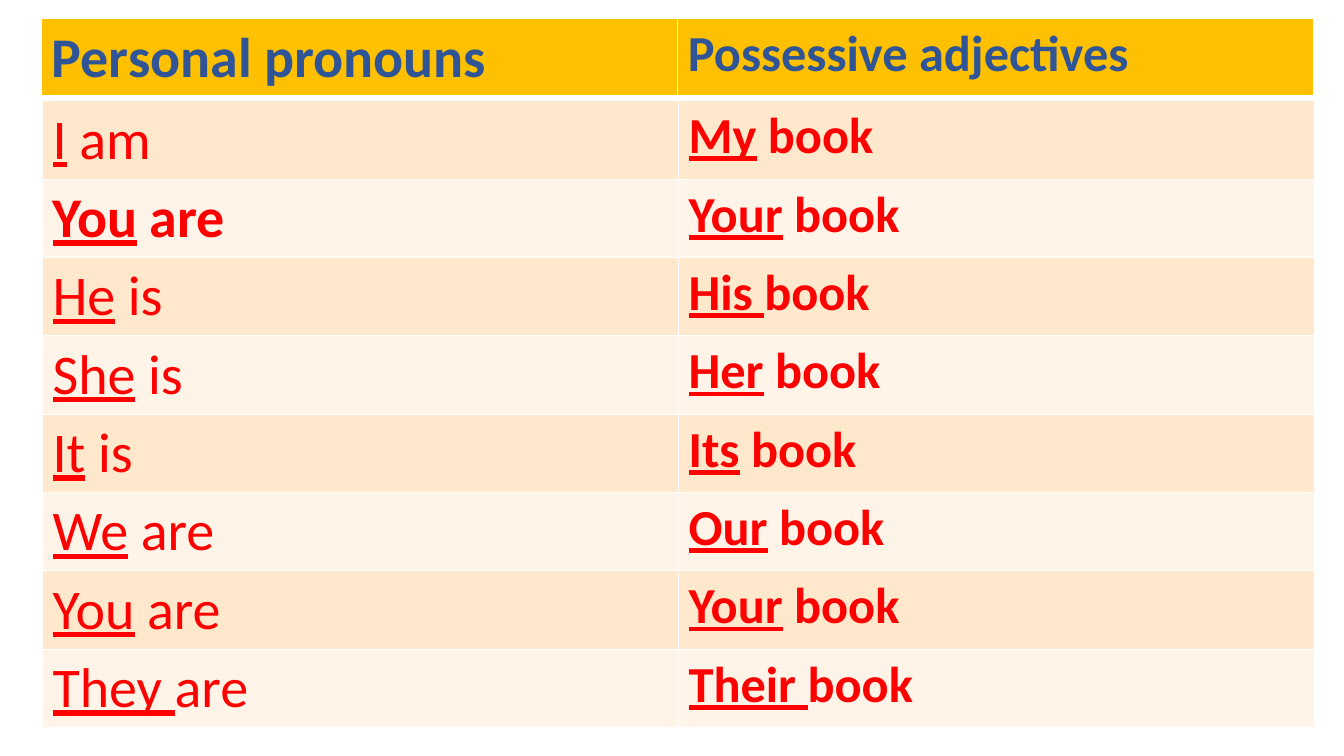
"""Build a slide that pairs personal pronouns with possessive adjectives."""
import pptx
import pptx.util
import pptx.dml.color
import pptx.oxml
import pptx.oxml.ns

Pt = pptx.util.Pt


def paint(item, color):
    item.fill.solid()
    item.fill.fore_color.rgb = pptx.dml.color.RGBColor.from_string(color)


def line(tag, width, color):
    return pptx.oxml.parse_xml(
        f'<a:{tag} {pptx.oxml.ns.nsdecls("a")} w="{int(Pt(width))}">'
        f'<a:solidFill><a:srgbClr val="{color}"/></a:solidFill></a:{tag}>')


prs = pptx.Presentation()
prs.slide_width, prs.slide_height = Pt(960), Pt(540)
slide = prs.slides.add_slide(prs.slide_layouts[6])

head = [(("Personal pronouns", ""), ("Possessive adjectives", ""))]
body = [
    (("I", " am"), ("My", " book")),
    (("You", " are"), ("Your", " book")),
    (("He", " is"), ("His ", "book")),
    (("She", " is"), ("Her", " book")),
    (("It", " is"), ("Its", " book")),
    (("We", " are"), ("Our", " book")),
    (("You", " are"), ("Your", " book")),
    (("They ", "are"), ("Their ", "book")),
]
tables = [
    (body, 30.4, 72, 55.2, ["FFE8CC", "FFF4E7"], "FF0000", 1),
    (head, 29.9, 13.5, 55.2, ["FFC000"], "2F5597", 3),
]

for rows, left, top, height, fills, ink, base in tables:
    frame = slide.shapes.add_table(
        len(rows), 2, Pt(left), Pt(top), Pt(908.6), Pt(height * len(rows)))
    table = frame.table
    table.first_row = table.horz_banding = False
    for r, row in enumerate(rows):
        for c, parts in enumerate(row):
            cell = table.cell(r, c)
            paint(cell, fills[r % len(fills)])
            props = cell._tc.get_or_add_tcPr()
            edges = [("lnL", 1), ("lnR", 1), ("lnT", 1), ("lnB", base)]
            for i, (tag, width) in enumerate(edges):
                props.insert(i, line(tag, width, "FFFFFF"))
            para = cell.text_frame.paragraphs[0]
            for i, part in enumerate(filter(None, parts)):
                run = para.add_run()
                run.text = part
                font = run.font
                font.name = "Calibri"
                font.size = Pt((40, 36)[c])
                font.bold = rows is head or c == 1 or r == 1
                font.underline = rows is body and i == 0
                paint(font, ink)
                font._element.insert(0, line("ln", (0.75, 0.83)[c], ink))

prs.save("out.pptx")
